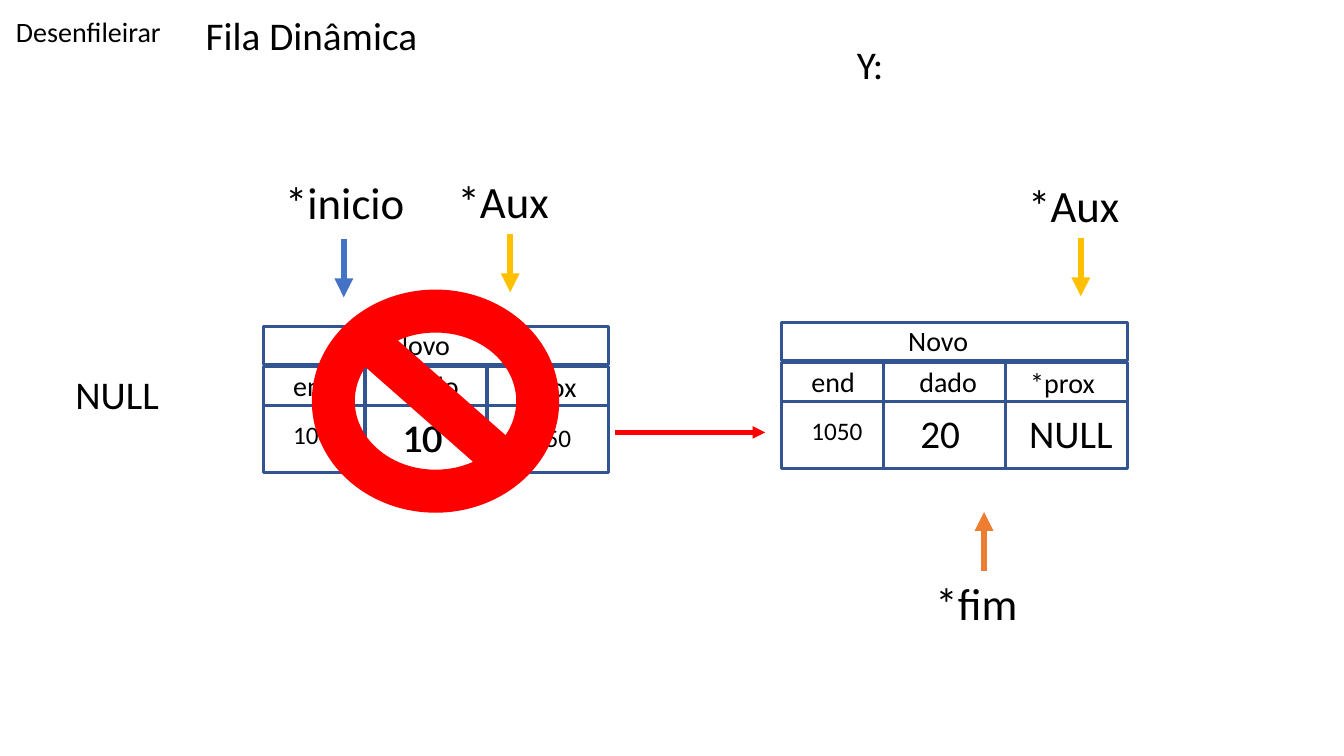
import pptx
import pptx.util
import pptx.dml.color
import pptx.enum.shapes
import pptx.enum.text
import pptx.oxml
import pptx.oxml.ns

Inches = pptx.util.Inches
Kind = pptx.enum.shapes.MSO_SHAPE

# Content: text, left, top, width, height, size
TITLE = ("Fila Dinâmica", 1.94, 0.06, 2.62, 0.57, 28)
LABELS = [
    ("Desenfileirar", 0.06, 0.09, 2.11, 0.44, 20),
    ("NULL", 0.65, 3.62, 1.23, 0.57, 28),
    ("Y:", 8.4, 0.35, 0.51, 0.57, 28),
    ("10", 3.9, 4.05, 0.74, 0.57, 28),
]

# Pointers: text, left, top, width, arrow x, arrow start, arrow end, colour
POINTERS = [
    ("*inicio", 2.73, 1.68, 1.6, 3.41, 2.37, 2.95, "4472C4"),
    ("*fim", 9.18, 5.66, 1.14, 9.76, 5.66, 5.08, "ED7D31"),
    ("*Aux", 4.44, 1.67, 1.6, 5.06, 2.32, 2.9, "FFC000"),
    ("*Aux", 10.1, 1.71, 1.6, 10.72, 2.36, 2.94, "FFC000"),
]

# Nodes: left, top, address, value, then next as text, x, y, width, height, size
NODES = [
    (2.61, 3.24, "1006", "10", ("1050", 2.45, 0.9, 0.74, 0.4, 18)),
    (7.75, 3.2, "1050", "20", ("NULL", 2.36, 0.81, 1.23, 0.57, 28)),
]
HEADS = [
    ("Novo", 1.16, -0.04, 0.84, 0.44, 20),
    ("end", 0.2, 0.37, 0.89, 0.44, 20),
    ("dado", 1.27, 0.37, 0.84, 0.39, 20),
    ("*prox", 2.37, 0.38, 0.9, 0.39, 20),
]
COLS = [(0, 1.01), (1.01, 1.21), (2.22, 1.21)]
ROWS = [(0.4, 0.38), (0.78, 0.67)]
BLUE, RED, BLACK = "325491", "FF0000", "000000"

deck = pptx.Presentation()
deck.slide_width, deck.slide_height = Inches(13.33), Inches(7.5)
slide = deck.slides.add_slide(deck.slide_layouts[5])
shapes = slide.shapes


def color(code):
    return pptx.dml.color.RGBColor.from_string(code)


def place(shape, *box):
    for name, value in zip(("left", "top", "width", "height"), box):
        setattr(shape, name, Inches(value))


def write(shape, text, size):
    frame = shape.text_frame
    style = {
        "word_wrap": True,
        "auto_size": pptx.enum.text.MSO_AUTO_SIZE.SHAPE_TO_FIT_TEXT,
        "vertical_anchor": pptx.enum.text.MSO_ANCHOR.TOP,
    }
    for name, value in style.items():
        setattr(frame, name, value)
    line = frame.paragraphs[0]
    line.alignment = pptx.enum.text.PP_ALIGN.LEFT
    run = line.add_run()
    run.text = text
    font = {"name": "Calibri", "size": pptx.util.Pt(size)}
    for name, value in font.items():
        setattr(run.font, name, value)
    run.font.color.rgb = color(BLACK)


def label(text, x, y, w, h, size):
    box = shapes.add_textbox(*map(Inches, (x, y, w, h)))
    write(box, text, size)


def draw(kind, x, y, w, h, edge, width, fill=None):
    shape = shapes.add_shape(kind, *map(Inches, (x, y, w, h)))
    shape.shadow.inherit = False
    if fill:
        shape.fill.solid()
        shape.fill.fore_color.rgb = color(fill)
    else:
        shape.fill.background()
    shape.line.color.rgb = color(edge)
    shape.line.width = pptx.util.Pt(width)


def arrow(x1, y1, x2, y2, code, width):
    link = shapes.add_connector(
        pptx.enum.shapes.MSO_CONNECTOR.STRAIGHT, *map(Inches, (x1, y1, x2, y2)))
    link.line.color.rgb = color(code)
    link.line.width = pptx.util.Pt(width)
    props = link._element.spPr
    tail = pptx.oxml.parse_xml(
        "<a:tailEnd %s type='triangle'/>" % pptx.oxml.ns.nsdecls("a"))
    props.find(pptx.oxml.ns.qn("a:ln")).append(tail)
    props.append(pptx.oxml.parse_xml(
        "<a:effectLst %s/>" % pptx.oxml.ns.nsdecls("a")))


def node(left, top, addr, value, after):
    # Header bar over a grid of two rows
    draw(Kind.RECTANGLE, left, top, 3.43, 0.38, BLUE, 2.25)
    for y, h in ROWS:
        for x, w in COLS:
            draw(Kind.RECTANGLE, left + x, top + y, w, h, BLUE, 2.25)
    cells = HEADS + [
        (addr, 0.2, 0.87, 0.74, 0.4, 18),
        (value, 1.28, 0.81, 0.74, 0.57, 28),
        after,
    ]
    for text, x, y, w, h, size in cells:
        label(text, left + x, top + y, w, h, size)


# Title and labels
place(shapes.title, *TITLE[1:5])
write(shapes.title, TITLE[0], TITLE[5])
for item in LABELS:
    label(*item)

# Pointers
for text, x, y, w, mid, start, end, code in POINTERS:
    label(text, x, y, w, 0.64, 32)
    arrow(mid, start, mid, end, code, 4.5)

# Nodes and the link between them
for item in NODES:
    node(*item)
arrow(6.1, 4.29, 7.59, 4.29, RED, 3)

# Removed node
draw(Kind.NO_SYMBOL, 3.1, 2.88, 2.44, 2.2, RED, 1, RED)

deck.save("out.pptx")
